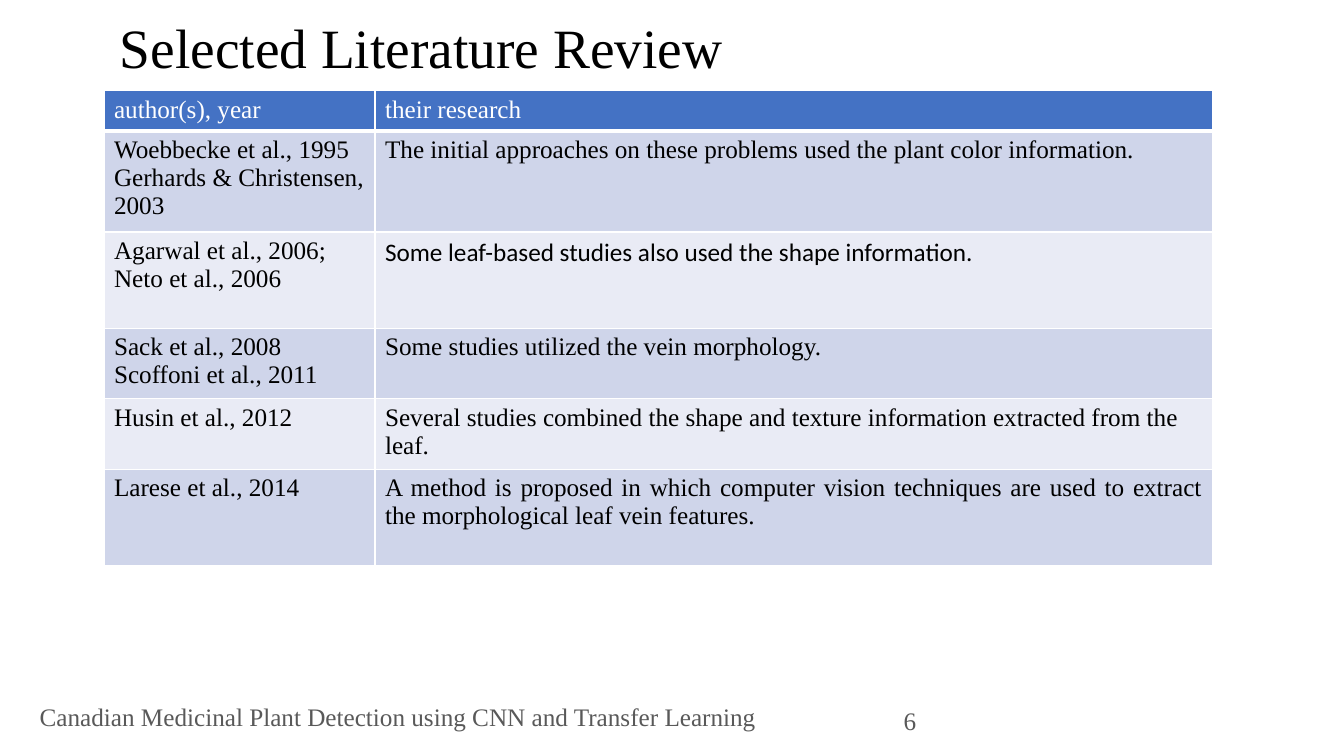
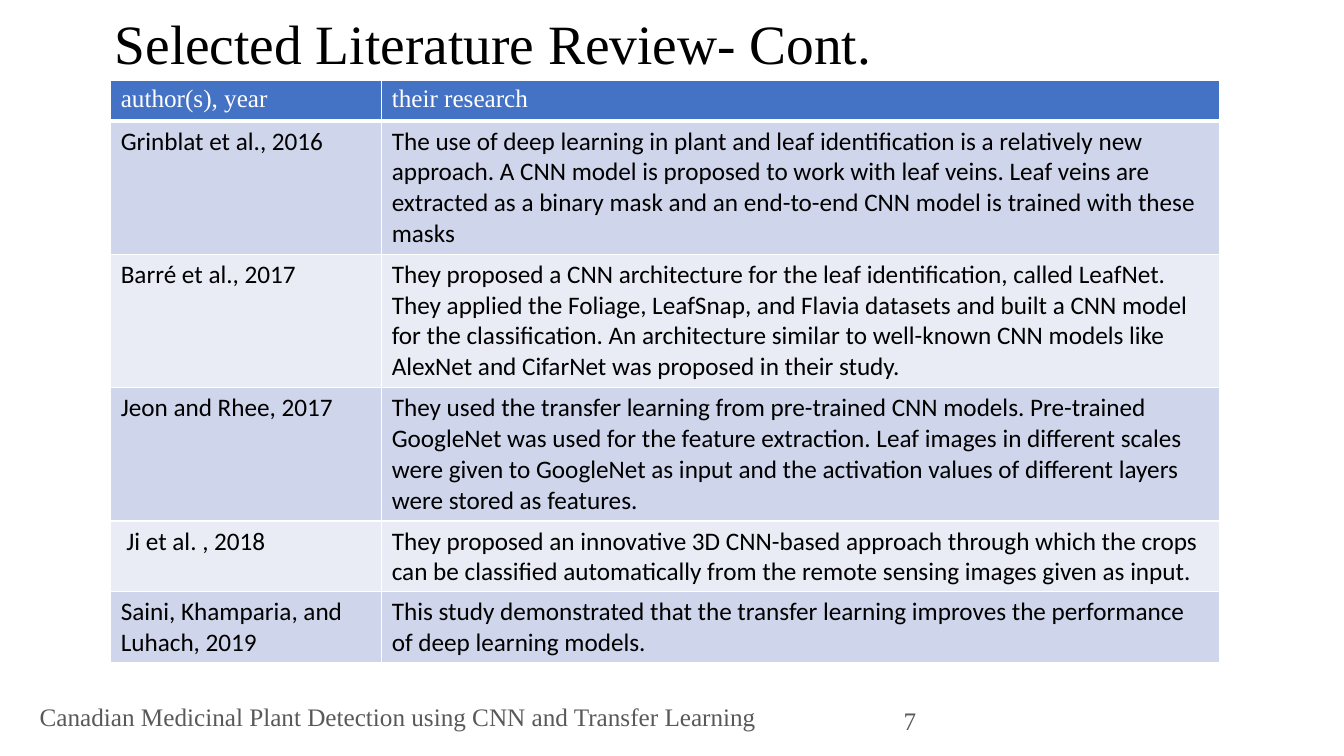
from typing import NamedTuple

from lxml import etree
from pptx import Presentation
from pptx.dml.color import RGBColor
from pptx.enum.text import MSO_ANCHOR, PP_ALIGN
from pptx.oxml.ns import qn
from pptx.util import Cm, Pt

LEFT, RIGHT, CENTER, JUSTIFY = (
    PP_ALIGN.LEFT, PP_ALIGN.RIGHT, PP_ALIGN.CENTER, PP_ALIGN.JUSTIFY)
TOP, MIDDLE = MSO_ANCHOR.TOP, MSO_ANCHOR.MIDDLE

SERIF, SANS = "Times New Roman", "Calibri"
BLACK, WHITE, GRAY = "000000", "FFFFFF", "595959"
HEAD, BANDS = "4472C4", ("CFD5EA", "E9EBF5")

TITLE_SIZE, BODY_SIZE = 39.6, 18
COLS = (6.83, 21.11)
HEADER = ("author(s), year", "their research")
FOOTER = "Canadian Medicinal Plant Detection using CNN and Transfer Learning"


class Row(NamedTuple):
    height: float
    author: str
    study: str
    font: str = SERIF
    study_font: str = SERIF
    align: PP_ALIGN = LEFT


def sans_row(height, author, study):
    return Row(height, author, study, SANS, SANS)


EARLY = [
    Row(2.42, "Woebbecke et al., 1995\nGerhards & Christensen, 2003",
        "The initial approaches on these problems used the plant color "
        "information.", align=JUSTIFY),
    Row(2.42, "Agarwal et al., 2006; Neto et al., 2006",
        "Some leaf-based studies also used the shape information.",
        study_font=SANS),
    Row(1.7, "Sack et al., 2008\nScoffoni et al., 2011",
        "Some studies utilized the vein morphology.", align=JUSTIFY),
    Row(1.7, "Husin et al., 2012",
        "Several studies combined the shape and texture information "
        "extracted from the leaf."),
    Row(2.42, "Larese et al., 2014",
        "A method is proposed in which computer vision techniques are used "
        "to extract the morphological leaf vein features.", align=JUSTIFY),
]

LATER = [
    sans_row(3.36, "Grinblat et al., 2016",
             "The use of deep learning in plant and leaf identification is a "
             "relatively new approach. A CNN model is proposed to work with "
             "leaf veins. Leaf veins are extracted as a binary mask and an "
             "end-to-end CNN model is trained with these masks"),
    sans_row(3.36, "Barré et al., 2017",
             "They proposed a CNN architecture for the leaf identification, "
             "called LeafNet. They applied the Foliage, LeafSnap, and Flavia "
             "datasets and built a CNN model for the classification. An "
             "architecture similar to well-known CNN models like AlexNet and "
             "CifarNet was proposed in their study."),
    sans_row(3.36, "Jeon and Rhee, 2017",
             "They used the transfer learning from pre-trained CNN models. "
             "Pre-trained GoogleNet was used for the feature extraction. Leaf "
             "images in different scales were given to GoogleNet as input and "
             "the activation values of different layers were stored as "
             "features."),
    sans_row(1.78, " Ji et al. , 2018",
             "They proposed an innovative 3D CNN-based approach through which "
             "the crops can be classified automatically from the remote "
             "sensing images given as input."),
    sans_row(1.78, "Saini, Khamparia, and Luhach, 2019",
             "This study demonstrated that the transfer learning improves the "
             "performance of deep learning models."),
]


def rgb(color):
    return RGBColor.from_string(color)


def style(frame, font, size, color, align=LEFT):
    for para in frame.paragraphs:
        para.alignment = align
        for run in para.runs:
            run.font.name = font
            run.font.size = Pt(size)
            run.font.color.rgb = rgb(color)


def add_text(slide, text, box, size, color, align=LEFT, anchor=MIDDLE):
    frame = slide.shapes.add_textbox(*map(Cm, box)).text_frame
    frame.word_wrap = True
    frame.vertical_anchor = anchor
    frame.text = text
    style(frame, SERIF, size, color, align)
    return frame


def add_title(slide, text, box):
    frame = add_text(slide, text, box, TITLE_SIZE, BLACK)
    frame.paragraphs[0].line_spacing = 0.9


def add_footer(slide, number):
    add_text(slide, FOOTER, (0.13, 17.45, 19.8, 1.22), BODY_SIZE, GRAY, CENTER)
    add_text(slide, str(number), (21.39, 17.65, 1.95, 1.02), BODY_SIZE, GRAY,
             RIGHT, TOP)


def set_borders(cell, bottom):
    props = cell._tc.get_or_add_tcPr()
    for edge, width in (("L", 1), ("R", 1), ("T", 1), ("B", bottom)):
        line = etree.SubElement(props, qn(f"a:ln{edge}"), w=str(Pt(width)))
        fill = etree.SubElement(line, qn("a:solidFill"))
        etree.SubElement(fill, qn("a:srgbClr"), val=WHITE)


def fill_cell(cell, text, fill, font, color=BLACK, align=LEFT, bottom=1):
    set_borders(cell, bottom)
    cell.fill.solid()
    cell.fill.fore_color.rgb = rgb(fill)
    cell.text_frame.text = text
    style(cell.text_frame, font, BODY_SIZE, color, align)


def add_review(slide, left, top, head, rows):
    heights = [head] + [row.height for row in rows]
    table = slide.shapes.add_table(
        len(heights), len(COLS), Cm(left), Cm(top),
        Cm(sum(COLS)), Cm(sum(heights))).table
    for col, width in zip(table.columns, COLS):
        col.width = Cm(width)
    for line, height in zip(table.rows, heights):
        line.height = Cm(height)
    for col, text in enumerate(HEADER):
        fill_cell(table.cell(0, col), text, HEAD, SERIF, WHITE, bottom=3)
    for num, row in enumerate(rows, 1):
        band = BANDS[(num - 1) % 2]
        fill_cell(table.cell(num, 0), row.author, band, row.font)
        fill_cell(table.cell(num, 1), row.study, band, row.study_font,
                  align=row.align)


def add_slide(deck, number, title, title_box, left, top, head, rows):
    slide = deck.slides.add_slide(deck.slide_layouts[6])
    add_footer(slide, number)
    add_title(slide, title, title_box)
    add_review(slide, left, top, head, rows)


def main():
    deck = Presentation()
    deck.slide_width, deck.slide_height = Cm(33.87), Cm(19.05)
    add_slide(deck, 6, "Selected Literature Review",
              (2.77, 0.38, 27.94, 1.78), 2.62, 2.29, 0.96, EARLY)
    add_slide(deck, 7, "Selected Literature Review- Cont.",
              (2.64, 0.33, 27.94, 1.68), 2.79, 2.02, 1.03, LATER)
    deck.save("out.pptx")


if __name__ == "__main__":
    main()
